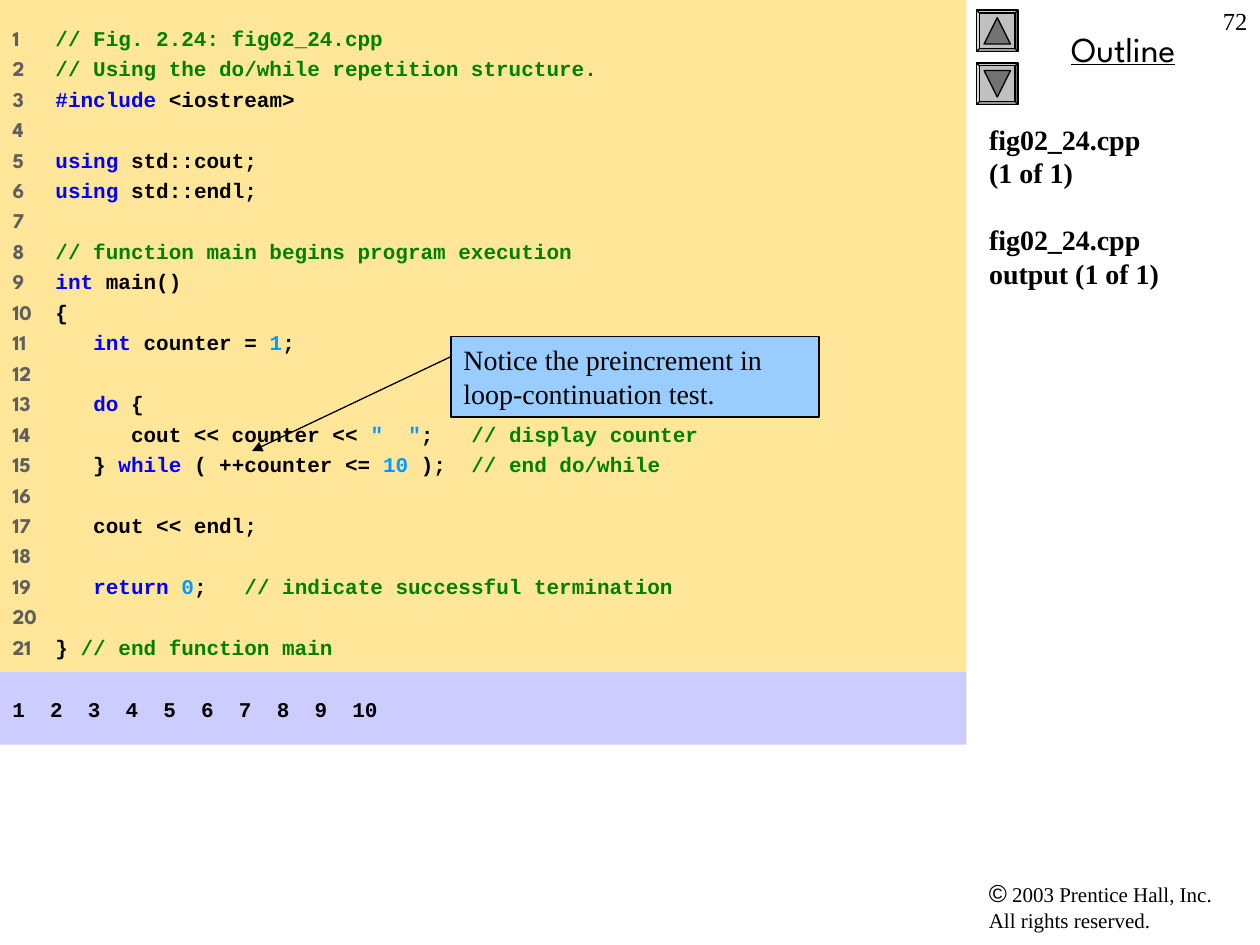
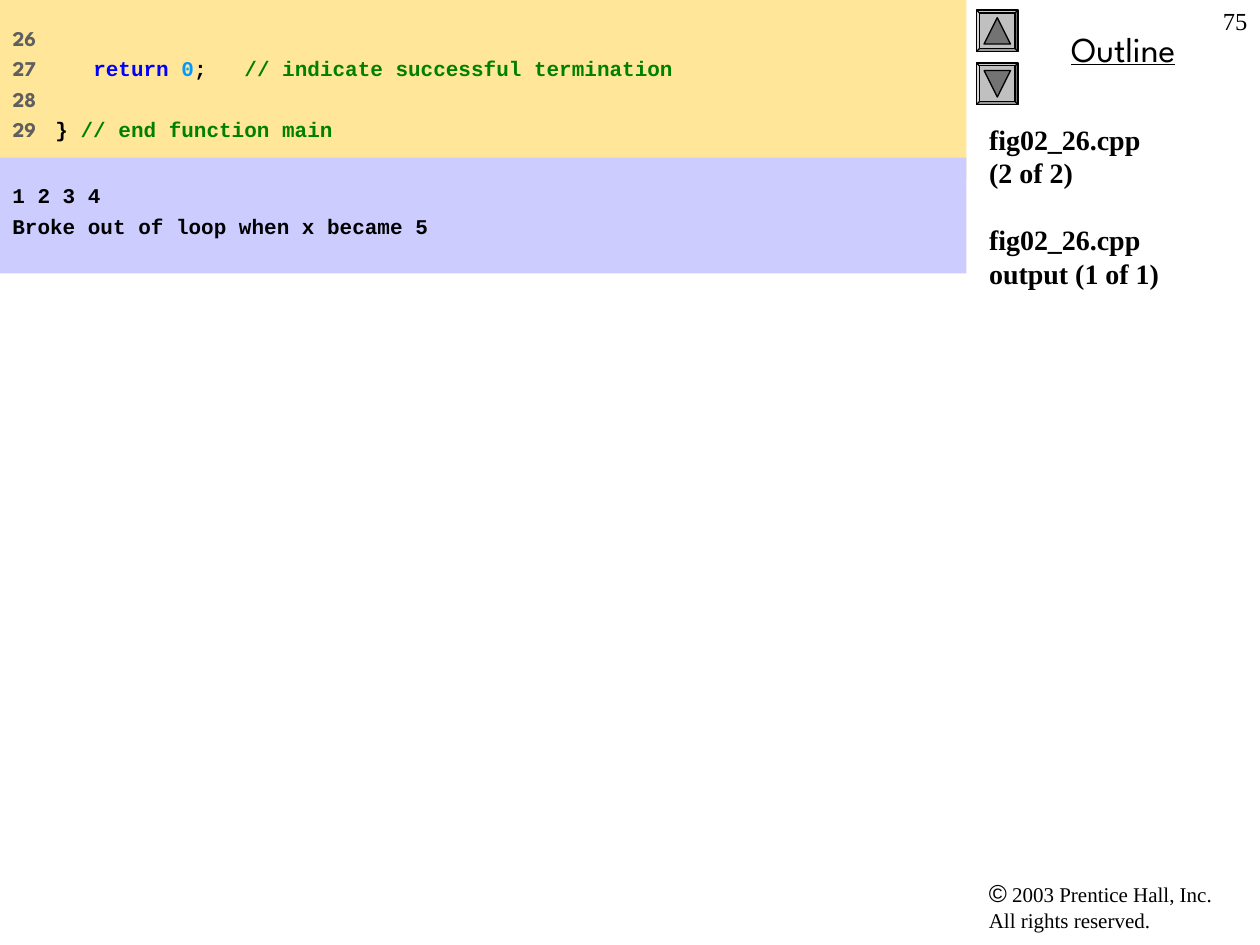
from lxml import etree
from pptx import Presentation
from pptx.dml.color import RGBColor
from pptx.enum.shapes import MSO_CONNECTOR, MSO_SHAPE
from pptx.enum.text import MSO_ANCHOR, MSO_AUTO_SIZE, PP_ALIGN
from pptx.oxml.ns import qn
from pptx.util import Inches, Pt

RECTANGLE = MSO_SHAPE.RECTANGLE
BEVEL = MSO_SHAPE.BEVEL
TRIANGLE = MSO_SHAPE.ISOSCELES_TRIANGLE
STRAIGHT = MSO_CONNECTOR.STRAIGHT
TOP = MSO_ANCHOR.TOP
NO_AUTOFIT = MSO_AUTO_SIZE.NONE
LEFT, CENTER, RIGHT = PP_ALIGN.LEFT, PP_ALIGN.CENTER, PP_ALIGN.RIGHT

# Shared look
BLACK = "000000"
CODE_FILL, OUTPUT_FILL, CALLOUT_FILL = "FFE699", "CCCCFF", "99CCFF"
BUTTON_FILL, ARROW_FILL = "C0C0C0", "737373"
NUMBER_COLOR = "5F5F5F"
SERIF, SANS, MONO, DISPLAY = "Times New Roman", "Arial", "Courier New", "League Spartan"
PANEL_WIDTH = 7.67
PANEL_INSET = 0.2
CODE_INDENT = 0.34
LINE_FACTOR = 1.2

# Syntax colours
PLAIN, KEYWORD, LITERAL, COMMENT = BLACK, "0000FF", "0099FF", "008000"

# Program listings: one list of (text, colour) pieces per line
RETURN_LINE = [("   ", PLAIN), ("return ", KEYWORD), ("0", LITERAL), (";   ", PLAIN),
               ("// indicate successful termination", COMMENT)]
END_MAIN_LINE = [("} ", PLAIN), ("// end function main", COMMENT)]
DO_WHILE_CODE = [
    [("// Fig. 2.24: fig02_24.cpp", COMMENT)],
    [("// Using the do/while repetition structure.", COMMENT)],
    [("#include", KEYWORD), (" <iostream>", PLAIN)],
    [],
    [("using", KEYWORD), (" std::cout;", PLAIN)],
    [("using", KEYWORD), (" std::endl;", PLAIN)],
    [],
    [("// function main begins program execution", COMMENT)],
    [("int", KEYWORD), (" main()", PLAIN)],
    [("{", PLAIN)],
    [("   ", PLAIN), ("int", KEYWORD), (" counter = ", PLAIN), ("1", LITERAL), (";", PLAIN)],
    [],
    [("   ", PLAIN), ("do", KEYWORD), (" {", PLAIN)],
    [("      cout << counter << ", PLAIN), ('"  "', LITERAL), (";   ", PLAIN),
     ("// display counter", COMMENT)],
    [("   } ", PLAIN), ("while", KEYWORD), (" ( ++counter <= ", PLAIN), ("10", LITERAL),
     (" );  ", PLAIN), ("// end do/while", COMMENT)],
    [],
    [("   cout << endl;", PLAIN)],
    [],
    RETURN_LINE,
    [],
    END_MAIN_LINE,
]
BREAK_CODE = [[], RETURN_LINE, [], END_MAIN_LINE]


def color(hex_string):
    return RGBColor.from_string(hex_string)


def set_font(font, name=None, size=None, bold=None, hex_color=None):
    if name:
        font.name = name
    if size:
        font.size = Pt(size)
    if bold is not None:
        font.bold = bold
    if hex_color:
        font.color.rgb = color(hex_color)


def place(shape, left, top, width, height):
    shape.left, shape.top = Inches(left), Inches(top)
    shape.width, shape.height = Inches(width), Inches(height)


def prepare_frame(shape, vertical_inset=0.05):
    frame = shape.text_frame
    frame.word_wrap = True
    frame.auto_size = NO_AUTOFIT
    frame.vertical_anchor = TOP
    frame.margin_left = frame.margin_right = Inches(0.1)
    frame.margin_top = frame.margin_bottom = Inches(vertical_inset)
    return frame


def next_paragraph(frame, index, size, gap, align=LEFT):
    paragraph = frame.add_paragraph() if index else frame.paragraphs[0]
    paragraph.alignment = align
    paragraph.line_spacing = Pt(size * LINE_FACTOR)
    paragraph.space_before = Pt(gap if index else 0)
    return paragraph


def add_box(slide, kind, left, top, width, height, fill, outlined=False):
    shape = slide.shapes.add_shape(kind, Inches(left), Inches(top), Inches(width), Inches(height))
    shape.shadow.inherit = False
    shape.fill.solid()
    shape.fill.fore_color.rgb = color(fill)
    if outlined:
        shape.line.color.rgb = color(BLACK)
        shape.line.width = Pt(0.75)
    else:
        shape.line.fill.background()
    return shape


def add_label(slide, left, top, width, height, align=LEFT):
    box = slide.shapes.add_textbox(Inches(left), Inches(top), Inches(width), Inches(height))
    paragraph = prepare_frame(box).paragraphs[0]
    paragraph.alignment = align
    return paragraph


def add_run(paragraph, text, **font):
    run = paragraph.add_run()
    run.text = text
    set_font(run.font, **font)


def add_arrow_button(slide, top, rotation):
    button = add_box(slide, BEVEL, 7.75, top, 0.33, 0.33, BUTTON_FILL, outlined=True)
    button.adjustments[0] = 0.07
    arrow = add_box(slide, TRIANGLE, 7.81, top + 0.06, 0.21, 0.21, ARROW_FILL, outlined=True)
    arrow.rotation = rotation


def add_sidebar(slide, page_number):
    # Copyright line
    footer = add_label(slide, 7.75, 6.92, 2.17, 0.54)
    set_font(footer.font, hex_color=BLACK)
    add_run(footer, "©", name=SANS, size=14)
    add_run(footer, " 2003 Prentice Hall, Inc.", name=SERIF, size=12)
    footer.add_line_break()
    add_run(footer, "All rights reserved.", name=SERIF, size=12)
    # Heading and navigation buttons
    heading = add_label(slide, 7.83, 0.17, 2.17, 0.44, CENTER)
    heading.text = "Outline"
    set_font(heading.font, DISPLAY, 20, hex_color=BLACK)
    heading.font.underline = True
    add_arrow_button(slide, 0.08, 0)
    add_arrow_button(slide, 0.5, 180)
    # Page number
    number = add_label(slide, 9.5, 0, 0.5, 0.5, RIGHT)
    number.text = str(page_number)
    set_font(number.font, SERIF, 14, hex_color=BLACK)


def fill_title(slide, file_name, part):
    title = slide.shapes.title
    place(title, 7.75, 0.92, 2.25, 5.25)
    frame = prepare_frame(title)
    entries = [f"{file_name}\v({part})", f"{file_name}\voutput (1 of 1)"]
    for index, entry in enumerate(entries):
        paragraph = next_paragraph(frame, index, 16, 16 * LINE_FACTOR)
        paragraph.text = entry
        set_font(paragraph.font, SERIF, 16, True, BLACK)


def set_hanging_indent(paragraph, indent):
    properties = paragraph._p.get_or_add_pPr()
    properties.set("marL", str(Inches(indent)))
    properties.set("indent", str(-Inches(indent)))


def fill_code(slide, height, lines, first_number):
    panel = slide.placeholders[1]
    place(panel, 0, 0, PANEL_WIDTH, height)
    panel.fill.solid()
    panel.fill.fore_color.rgb = color(CODE_FILL)
    frame = prepare_frame(panel, PANEL_INSET)
    for index, pieces in enumerate(lines):
        paragraph = next_paragraph(frame, index, 12, 3)
        set_hanging_indent(paragraph, CODE_INDENT)
        set_font(paragraph.font, size=12, bold=True)
        number = str(first_number + index) + ("\t" if pieces else "")
        add_run(paragraph, number, name=DISPLAY, hex_color=NUMBER_COLOR)
        for text, hex_color in pieces:
            add_run(paragraph, text, name=MONO, hex_color=hex_color)


def add_output(slide, top, height, lines):
    panel = add_box(slide, RECTANGLE, 0, top, PANEL_WIDTH, height, OUTPUT_FILL)
    frame = prepare_frame(panel, PANEL_INSET)
    for index, line in enumerate(lines):
        paragraph = next_paragraph(frame, index, 12, 3)
        paragraph.text = line
        set_font(paragraph.font, MONO, 12, True, BLACK)


def add_callout(slide, text, left, top, width, height, target):
    box = add_box(slide, RECTANGLE, left, top, width, height, CALLOUT_FILL, outlined=True)
    paragraph = next_paragraph(prepare_frame(box), 0, 16, 0)
    paragraph.text = text
    set_font(paragraph.font, SERIF, 16, hex_color=BLACK)
    # Pointer into the code
    pointer = slide.shapes.add_connector(STRAIGHT, Inches(left), Inches(top + 0.16),
                                         Inches(target[0]), Inches(target[1]))
    pointer.line.color.rgb = color(BLACK)
    pointer.line.width = Pt(0.75)
    etree.SubElement(pointer.line._get_or_add_ln(), qn("a:tailEnd"), type="triangle")
    etree.SubElement(pointer._element.spPr, qn("a:effectLst"))


def add_listing_slide(presentation, page_number, file_name, part):
    slide = presentation.slides.add_slide(presentation.slide_layouts[0])
    add_sidebar(slide, page_number)
    fill_title(slide, file_name, part)
    return slide


def main():
    presentation = Presentation()
    presentation.slide_width, presentation.slide_height = Inches(10), Inches(7.5)

    # do/while example
    slide = add_listing_slide(presentation, 72, "fig02_24.cpp", "1 of 1")
    fill_code(slide, 5.33, DO_WHILE_CODE, first_number=1)
    add_output(slide, 5.33, 0.58, ["1  2  3  4  5  6  7  8  9  10"])
    add_callout(slide, "Notice the preincrement in loop-continuation test.",
                3.58, 2.67, 2.92, 0.64, target=(2, 3.58))

    # End of the break example
    slide = add_listing_slide(presentation, 75, "fig02_26.cpp", "2 of 2")
    fill_code(slide, 1.42, BREAK_CODE, first_number=26)
    add_output(slide, 1.25, 0.92, ["1 2 3 4", "Broke out of loop when x became 5"])

    presentation.save("out.pptx")


if __name__ == "__main__":
    main()
